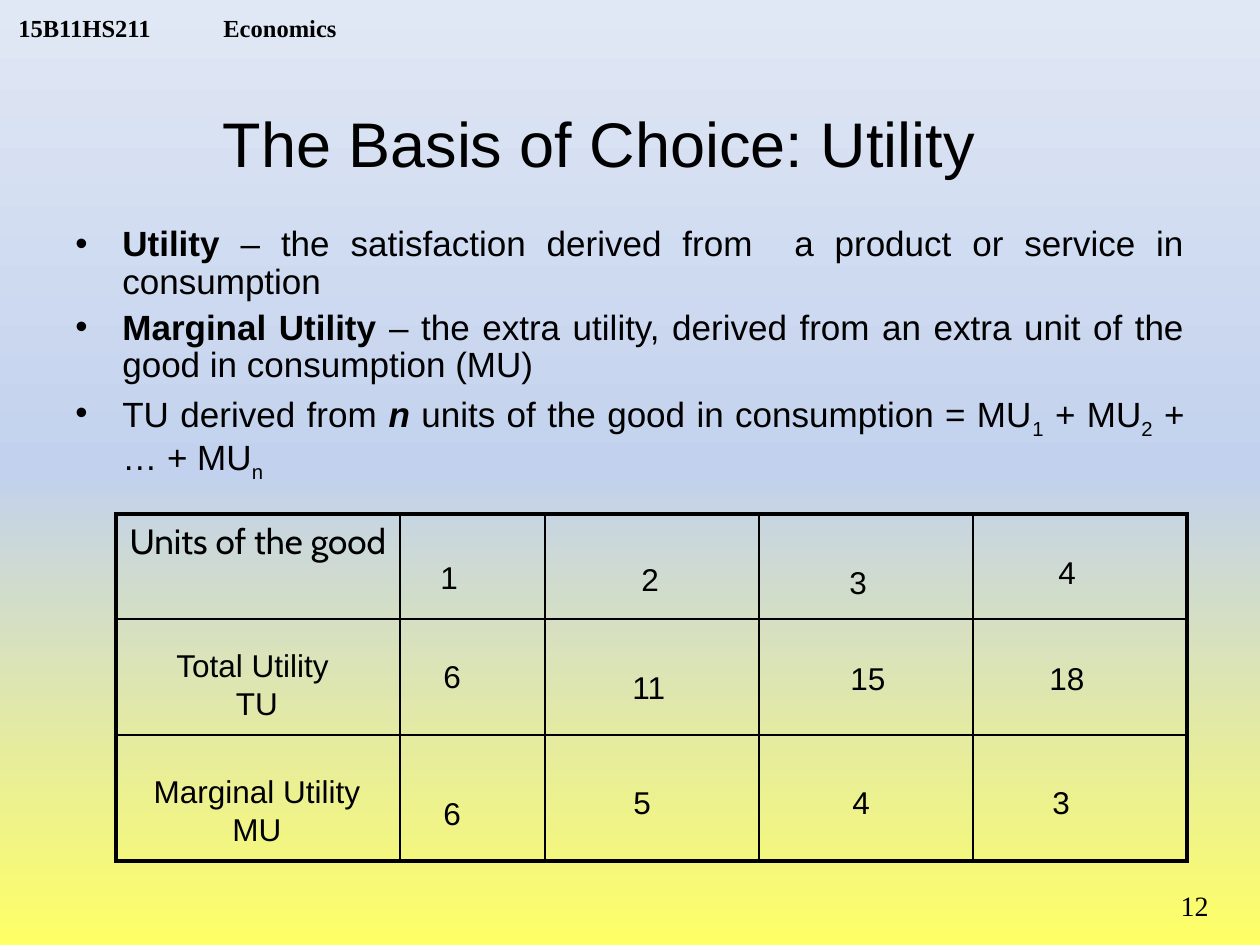
from copy import deepcopy
from dataclasses import dataclass

from lxml.etree import SubElement
from pptx import Presentation
from pptx.dml.color import RGBColor
from pptx.enum.text import MSO_ANCHOR as Anchor, MSO_AUTO_SIZE as AutoSize, PP_ALIGN as Align
from pptx.oxml.ns import qn
from pptx.util import Emu, Pt

EMU_PER_PX = 914400 / 126


def px(length: int) -> Emu:
    return Emu(round(length * EMU_PER_PX))


@dataclass(frozen=True)
class Theme:
    ink: str = "000000"
    backdrop: tuple = ((0, "FFFF66"), (0.5, "C2D1ED"), (1, "E1E8F5"))
    sans: str = "Arial"
    serif: str = "Times New Roman"
    rounded: str = "Cabin"
    title_size: int = 36
    body_size: int = 20
    value_size: int = 18
    number_size: int = 16
    course_size: int = 14
    thin: float = 1
    thick: float = 2.25


THEME = Theme()


@dataclass(frozen=True)
class Area:
    left: int
    top: int
    width: int
    height: int

    def emu(self) -> tuple:
        return px(self.left), px(self.top), px(self.width), px(self.height)


@dataclass(frozen=True)
class Span:
    text: str
    bold: bool = False
    italic: bool = False
    subscript: bool = False


@dataclass(frozen=True)
class Label:
    text: str
    area: Area
    align: Align = Align.LEFT


def sub(text: str) -> Span:
    return Span(text, subscript=True)


BULLETS = (
    (Span("Utility", bold=True),
     Span(" – the satisfaction derived from  a product or service in consumption")),
    (Span("Marginal Utility", bold=True),
     Span(" – the extra utility, derived from an extra unit of the good in consumption (MU)")),
    (Span("TU derived from "), Span("n", bold=True, italic=True),
     Span(" units of the good in consumption = MU"), sub("1"), Span(" + MU"), sub("2"),
     Span(" + … + MU"), sub("n")),
)

TABLE_AREA = Area(116, 514, 1071, 347)
COLUMN_WIDTHS = (284, 145, 214, 214, 214)
ROW_HEIGHTS = (105, 116, 126)

LABELS = (
    Label("Total Utility \nTU", Area(136, 640, 242, 127), Align.CENTER),
    Label("Marginal Utility\nMU", Area(136, 766, 242, 89), Align.CENTER),
    *(Label(text, Area(left, top, width, 50)) for text, left, top, width in (
        ("1", 428, 552, 57), ("2", 629, 554, 57), ("3", 837, 557, 57), ("4", 1046, 547, 57),
        ("6", 431, 651, 57), ("11", 620, 662, 97), ("15", 838, 653, 97), ("18", 1037, 653, 97),
        ("6", 431, 788, 57), ("5", 621, 777, 62), ("4", 840, 777, 62), ("3", 1040, 777, 62),
    )),
)


def write(para, text: str, *, size: float, font: str = THEME.sans, bold: bool = False,
          italic: bool = False, subscript: bool = False) -> None:
    run = para.add_run()
    run.text = text
    run.font.name, run.font.size = font, Pt(size)
    run.font.bold, run.font.italic = bold, italic
    run.font.color.rgb = RGBColor.from_string(THEME.ink)
    if subscript:
        run._r.get_or_add_rPr().set("baseline", "-25000")


def add_box(page, area: Area, *, anchor: Anchor = Anchor.TOP):
    frame = page.shapes.add_textbox(*area.emu()).text_frame
    frame.word_wrap = True
    frame.auto_size = AutoSize.NONE
    frame.vertical_anchor = anchor
    return frame


def add_lines(frame, text: str, *, align: Align = Align.LEFT, **style) -> None:
    """Fill a frame with one paragraph per line of text."""
    for index, line in enumerate(text.split("\n")):
        para = frame.add_paragraph() if index else frame.paragraphs[0]
        para.alignment = align
        write(para, line, **style)


def paint_background(page) -> None:
    fill = page.background.fill
    fill.gradient()
    fill.gradient_angle = 90
    stop_list = next(page.element.iter(qn("a:gsLst")))
    stop_list.append(deepcopy(stop_list[0]))
    for stop, (position, color) in zip(fill.gradient_stops, THEME.backdrop):
        stop.position = position
        stop.color.rgb = RGBColor.from_string(color)


def add_course_line(page) -> None:
    frame = add_box(page, Area(6, 0, 403, 42), anchor=Anchor.BOTTOM)
    frame.margin_top = frame.margin_bottom = 0
    para = frame.paragraphs[0]
    tabs = SubElement(para._p.get_or_add_pPr(), qn("a:tabLst"))
    SubElement(tabs, qn("a:tab"), pos=str(px(205)), algn="l")
    write(para, "15B11HS211\tEconomics", size=THEME.course_size, font=THEME.serif, bold=True)


def add_bullets(page) -> None:
    frame = add_box(page, Area(63, 220, 1134, 270))
    for index, spans in enumerate(BULLETS):
        para = frame.add_paragraph() if index else frame.paragraphs[0]
        properties = para._p.get_or_add_pPr()
        properties.set("marL", str(px(47)))
        properties.set("indent", str(-px(47)))
        SubElement(properties, qn("a:buFont"), typeface=THEME.sans)
        SubElement(properties, qn("a:buChar"), char="•")
        para.alignment = Align.JUSTIFY
        para.line_spacing = 0.9
        if index:
            para.space_before = Pt(4.6)
        for span in spans:
            write(para, span.text, size=THEME.body_size, bold=span.bold,
                  italic=span.italic, subscript=span.subscript)


def set_borders(cell, widths: dict) -> None:
    """Draw the cell's edges; widths maps L, R, T, B, in that order, to points."""
    properties = cell._tc.get_or_add_tcPr()
    for index, (side, width) in enumerate(widths.items()):
        line = SubElement(properties, qn(f"a:ln{side}"), w=str(Pt(width)))
        fill = SubElement(line, qn("a:solidFill"))
        SubElement(fill, qn("a:srgbClr"), val=THEME.ink)
        properties.insert(index, line)


def add_utility_table(page) -> None:
    rows, columns = len(ROW_HEIGHTS), len(COLUMN_WIDTHS)
    table = page.shapes.add_table(rows, columns, *TABLE_AREA.emu()).table
    table.first_row = table.horz_banding = False
    for column, width in zip(table.columns, COLUMN_WIDTHS):
        column.width = px(width)
    for row, height in zip(table.rows, ROW_HEIGHTS):
        row.height = px(height)
    for row in range(rows):
        for column in range(columns):
            cell = table.cell(row, column)
            cell.fill.background()
            outer = {"L": column == 0, "R": column == columns - 1,
                     "T": row == 0, "B": row == rows - 1}
            set_borders(cell, {side: THEME.thick if edge else THEME.thin
                               for side, edge in outer.items()})
    add_lines(table.cell(0, 0).text_frame, "Units of the good", align=Align.CENTER,
              size=THEME.body_size, font=THEME.rounded)


def main() -> None:
    deck = Presentation()
    deck.slide_width, deck.slide_height = px(1260), px(945)
    page = deck.slides.add_slide(deck.slide_layouts[6])
    paint_background(page)
    add_course_line(page)
    add_lines(add_box(page, Area(32, 63, 1134, 158), anchor=Anchor.MIDDLE),
              "The Basis of Choice: Utility", align=Align.CENTER, size=THEME.title_size)
    add_bullets(page)
    add_utility_table(page)
    for label in LABELS:
        add_lines(add_box(page, label.area), label.text, align=label.align,
                  size=THEME.value_size)
    add_lines(add_box(page, Area(1124, 882, 97, 50)), "12", align=Align.RIGHT,
              size=THEME.number_size, font=THEME.serif)
    deck.save("out.pptx")


if __name__ == "__main__":
    main()
